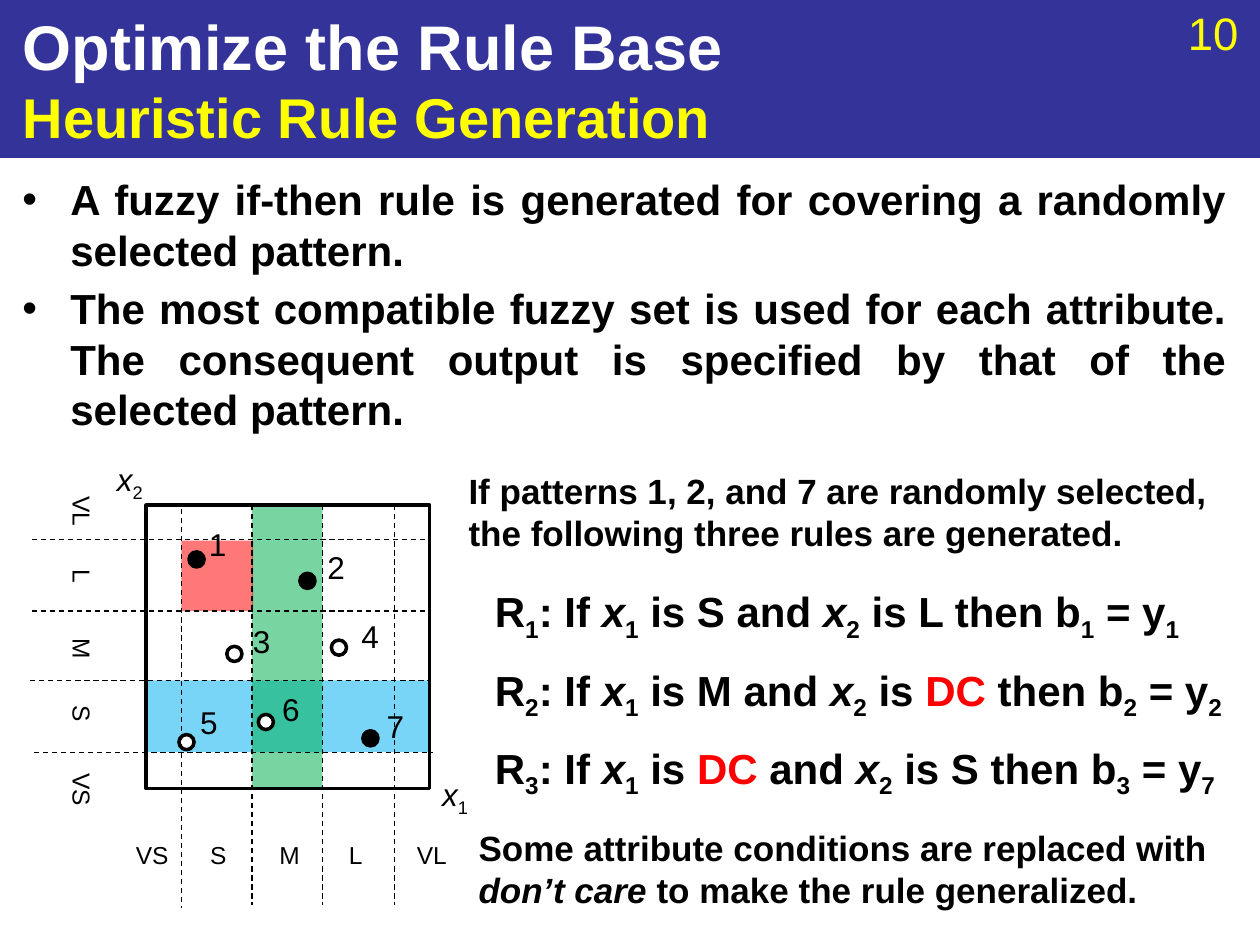
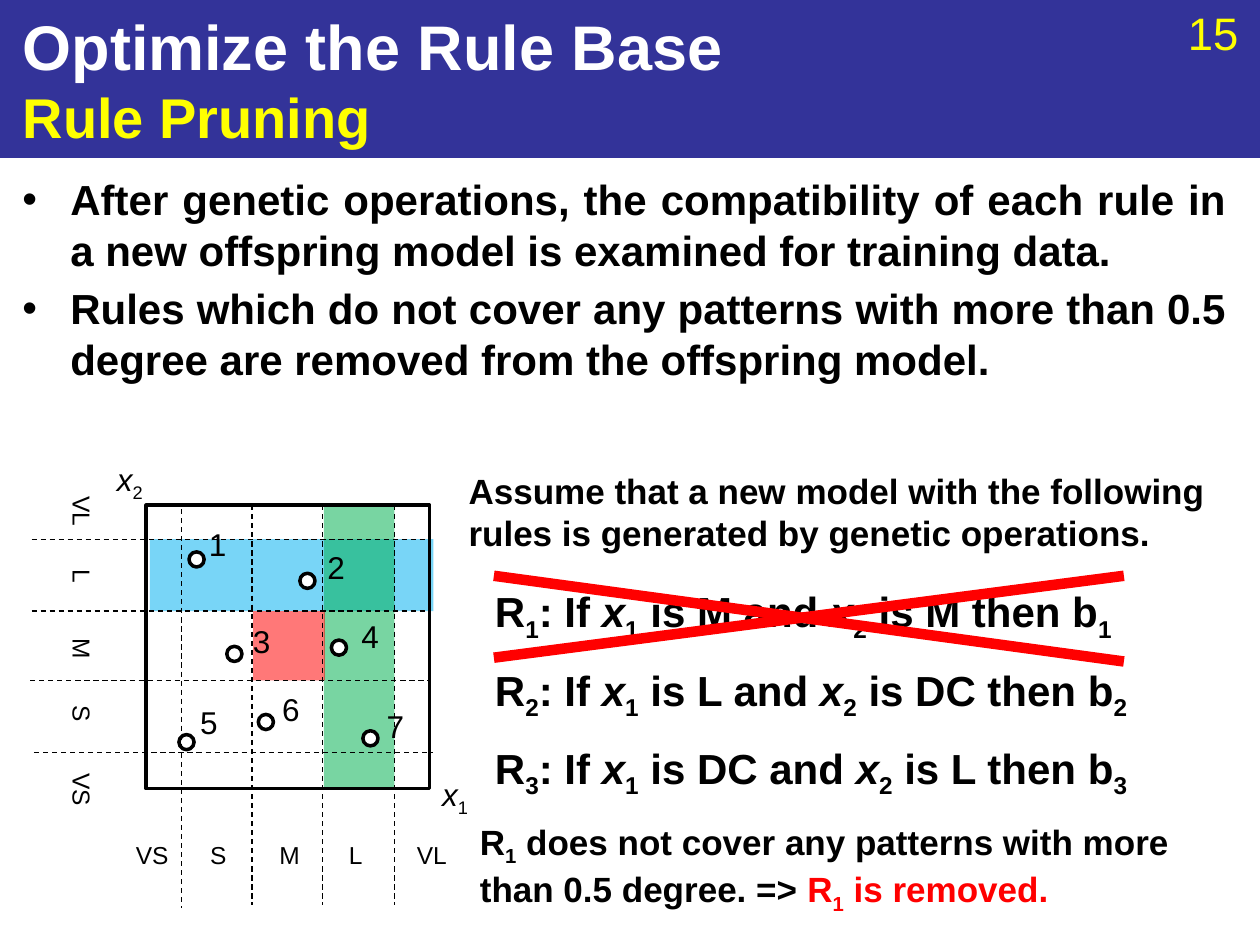
from itertools import groupby

from lxml import etree
from pptx import Presentation
from pptx.dml.color import RGBColor
from pptx.enum import dml, shapes, text
from pptx.oxml import ns
from pptx.util import Inches, Pt

FONT = "Arial"
NAVY = RGBColor(0x33, 0x33, 0x99)
YELLOW = RGBColor(0xFF, 0xFF, 0x00)
WHITE = RGBColor(0xFF, 0xFF, 0xFF)
BLACK = RGBColor(0x00, 0x00, 0x00)
RED = RGBColor(0xFF, 0x00, 0x00)
GREEN = RGBColor(0x00, 0xB0, 0x50)
BLUE = RGBColor(0x00, 0xB0, 0xF0)

TERMS = {"VS": 0.46, "S": 0.33, "M": 0.36, "L": 0.31, "VL": 0.44}
COLUMN_CENTRES = (1.21, 1.735, 2.3, 2.825, 3.43)
ROW_CENTRES = (6.27, 5.67, 5.15, 4.58, 4.06)
ROW_LINES = ((0.25, 4.28), (0.25, 4.85), (0.24, 5.4), (0.27, 5.97))
COLUMN_LINES = ((3.13, 4.01), (2.56, 4.01), (2, 4.01), (1.44, 4.04))
LINE_LENGTH = 3.17
DOT = 0.12
PATTERNS = {
    1: ((1.5, 4.38), (1.56, 4.12)),
    2: ((2.38, 4.55), (2.5, 4.3)),
    3: ((1.8, 5.13), (1.91, 4.89)),
    4: ((2.63, 5.08), (2.77, 4.85)),
    5: ((1.42, 5.83), (1.49, 5.53)),
    6: ((2.05, 5.67), (2.14, 5.43)),
    7: ((2.88, 5.8), (2.97, 5.56)),
}


def style(span, size, color=BLACK, bold=False):
    """Set the font of one run."""
    span.font.name = FONT
    span.font.size = Pt(size)
    span.font.color.rgb = color
    span.font.bold = bold


def styled_characters(marked):
    """Yield (style, character): _ lowers the next one, * is italic, ~ is red."""
    italic = red = lowered = False
    for character in marked:
        if character == "*":
            italic = not italic
        elif character == "~":
            red = not red
        elif character == "_":
            lowered = True
        else:
            yield (italic, red, lowered), character
            lowered = False


def write(paragraph, marked, size, color=BLACK, bold=False):
    """Fill a paragraph with runs made from marked text."""
    for (italic, red, lowered), group in groupby(styled_characters(marked), lambda pair: pair[0]):
        span = paragraph.add_run()
        span.text = "".join(character for _, character in group)
        style(span, size, RED if red else color, bold)
        span.font.italic = italic
        if lowered:
            span._r.get_or_add_rPr().set("baseline", "-25000")


def add_text(page, place, lines, size, color=BLACK, bold=False, wrap=True, after=0):
    """Add a text box with one paragraph for each line."""
    box = page.shapes.add_textbox(*map(Inches, place))
    frame = box.text_frame
    frame.word_wrap = wrap
    frame.auto_size = text.MSO_AUTO_SIZE.SHAPE_TO_FIT_TEXT
    for index, line in enumerate(lines):
        paragraph = frame.add_paragraph() if index else frame.paragraphs[0]
        paragraph.space_after = Pt(after)
        write(paragraph, line, size, color, bold)
    return box


def add_shape(page, kind, place, fill=None, line=None, width=0.75, opacity=None):
    """Add a preset shape, filled and outlined as asked."""
    shape = page.shapes.add_shape(kind, *map(Inches, place))
    shape.shadow.inherit = False
    if fill is None:
        shape.fill.background()
    else:
        shape.fill.solid()
        shape.fill.fore_color.rgb = fill
    if opacity:
        tint = shape._element.spPr.find(".//" + ns.qn("a:srgbClr"))
        etree.SubElement(tint, ns.qn("a:alpha"), val=str(opacity * 1000))
    if line is None:
        shape.line.fill.background()
    else:
        shape.line.color.rgb = line
        shape.line.width = Pt(width)
    return shape


def add_line(page, start, end, color=BLACK, width=0.75, dashed=False):
    """Add a straight line without a shadow."""
    line = page.shapes.add_connector(
        shapes.MSO_CONNECTOR.STRAIGHT, *map(Inches, (*start, *end)))
    line.line.color.rgb = color
    line.line.width = Pt(width)
    if dashed:
        line.line.dash_style = dml.MSO_LINE.DASH
    etree.SubElement(line._element.spPr, ns.qn("a:effectLst"))


def add_band(deck, layout):
    """Put the title band on the layout, behind its placeholders."""
    page = deck.slides[0]
    band = add_shape(page, shapes.MSO_SHAPE.RECTANGLE, (0, 0, 10, 1.25), NAVY, NAVY)
    layout.shapes._spTree.insert(2, band._element)


def set_title(page, subtitle, number):
    """Write the two-line title and the slide number."""
    title = page.shapes.title
    title.left, title.top, title.width, title.height = map(Inches, (0.08, 0, 9, 1.25))
    frame = title.text_frame
    frame.auto_size = text.MSO_AUTO_SIZE.NONE
    frame.vertical_anchor = text.MSO_ANCHOR.MIDDLE
    paragraph = frame.paragraphs[0]
    paragraph.text = "Optimize the Rule Base\v" + subtitle
    paragraph.alignment = text.PP_ALIGN.LEFT
    heading, detail = paragraph.runs
    style(heading, 36, WHITE, True)
    style(detail, 32, YELLOW, True)
    add_text(page, (9.33, -0.01, 0.67, 0.54), [number], 26, YELLOW)


def add_bullets(page, lines):
    """Add the justified bullet list."""
    box = add_text(page, (0.08, 1.33, 9.75, 2.33), lines, 24, bold=True)
    box.text_frame.auto_size = text.MSO_AUTO_SIZE.NONE
    for paragraph in box.text_frame.paragraphs:
        paragraph.alignment = text.PP_ALIGN.JUSTIFY
        paragraph.space_before = Pt(4.8)
        properties = paragraph._p.get_or_add_pPr()
        properties.set("marL", str(Inches(0.38)))
        properties.set("indent", str(-Inches(0.38)))
        etree.SubElement(properties, ns.qn("a:buFont"), typeface=FONT)
        etree.SubElement(properties, ns.qn("a:buChar"), char="•")


def add_term(page, term, centre_x, centre_y, rotation=0):
    """Add the name of a fuzzy set, centred on a point."""
    width, height = TERMS[term], 0.34
    place = (centre_x - width / 2, centre_y - height / 2, width, height)
    add_text(page, place, [term], 14, wrap=False).rotation = rotation


def add_partition(page, filled):
    """Draw the frame, axes, terms, patterns and dashed grid."""
    add_shape(page, shapes.MSO_SHAPE.RECTANGLE, (1.16, 4.01, 2.25, 2.25), line=BLACK, width=2)
    for term, x, y in zip(TERMS, COLUMN_CENTRES, ROW_CENTRES):
        add_term(page, term, x, 6.79)
        add_term(page, term, 0.65, y, 90)
    add_text(page, (3.41, 6.1, 0.42, 0.4), ["*x*_1"], 18, wrap=False)
    add_text(page, (0.83, 3.6, 0.42, 0.4), ["*x*_2"], 18, wrap=False)
    for number, (dot, label) in PATTERNS.items():
        fill = BLACK if number in filled else WHITE
        add_shape(page, shapes.MSO_SHAPE.OVAL, (*dot, DOT, DOT), fill, BLACK, 2)
        add_text(page, (*label, 0.34, 0.4), [str(number)], 18, wrap=False)
    for x, y in ROW_LINES:
        add_line(page, (x, y), (x + LINE_LENGTH, y), dashed=True)
    for x, y in COLUMN_LINES:
        add_line(page, (x, y), (x, y + LINE_LENGTH), dashed=True)


def add_rule_page(page, subtitle, number, bullets, regions, filled, intro, rules, rules_width):
    """Build what both pages have in common."""
    for color, place in regions:
        add_shape(page, shapes.MSO_SHAPE.RECTANGLE, place, color, opacity=53)
    set_title(page, subtitle, number)
    add_bullets(page, bullets)
    add_partition(page, filled)
    add_text(page, (3.62, 3.68, 6.31, 0.77), [intro], 20, bold=True)
    add_text(page, (3.83, 4.6, rules_width, 1.65), rules, 24, bold=True, wrap=False, after=12)


def build_generation(page):
    """Build the page on heuristic rule generation."""
    add_rule_page(
        page, "Heuristic Rule Generation", "10",
        ["A fuzzy if-then rule is generated for covering a randomly selected pattern.",
         "The most compatible fuzzy set is used for each attribute. The consequent output "
         "is specified by that of the selected pattern."],
        [(BLUE, (1.16, 5.4, 2.25, 0.57)),
         (GREEN, (2, 4.01, 0.56, 2.26)),
         (RED, (1.44, 4.29, 0.57, 0.56))],
        {1, 2, 7},
        "If patterns 1, 2, and 7 are randomly selected, the following three rules are generated.",
        ["R_1: If *x*_1 is S and *x*_2 is L then b_1 = y_1",
         "R_2: If *x*_1 is M and *x*_2 is ~DC~ then b_2 = y_2",
         "R_3: If *x*_1 is ~DC~ and *x*_2 is S then b_3 = y_7"],
        6.1)
    add_text(page, (3.7, 6.51, 6.1, 0.77),
             ["Some attribute conditions are replaced with *don’t care *to make the rule "
              "generalized."], 20, bold=True)


def build_pruning(page):
    """Build the page on rule pruning."""
    add_rule_page(
        page, "Rule Pruning", "15",
        ["After genetic operations, the compatibility of each rule in a new offspring model "
         "is examined for training data.",
         "Rules which do not cover any patterns with more than 0.5 degree are removed from "
         "the offspring model."],
        [(BLUE, (1.19, 4.28, 2.25, 0.57)),
         (GREEN, (2.57, 4.01, 0.56, 2.26)),
         (RED, (2.01, 4.85, 0.57, 0.55))],
        set(),
        "Assume that a new model with the following rules is generated by genetic operations.",
        ["R_1: If *x*_1 is M and *x*_2 is M then b_1",
         "R_2: If *x*_1 is L and *x*_2 is DC then b_2",
         "R_3: If *x*_1 is DC and *x*_2 is L then b_3"],
        5.41)
    add_text(page, (3.71, 6.46, 5.71, 0.77),
             ["R_1 does not cover any patterns with more than 0.5 degree. => "
              "~R_1 is removed.~"], 20, bold=True)
    add_line(page, (3.92, 4.57), (8.92, 5.25), RED, 6)
    add_line(page, (3.92, 5.22), (8.92, 4.57), RED, 6)


def main():
    """Build the deck and save it."""
    deck = Presentation()
    deck.slide_width, deck.slide_height = Inches(10), Inches(7.5)
    layout = deck.slide_layouts[5]
    generation, pruning = (deck.slides.add_slide(layout) for _ in range(2))
    add_band(deck, layout)
    build_generation(generation)
    build_pruning(pruning)
    deck.save("out.pptx")


main()
